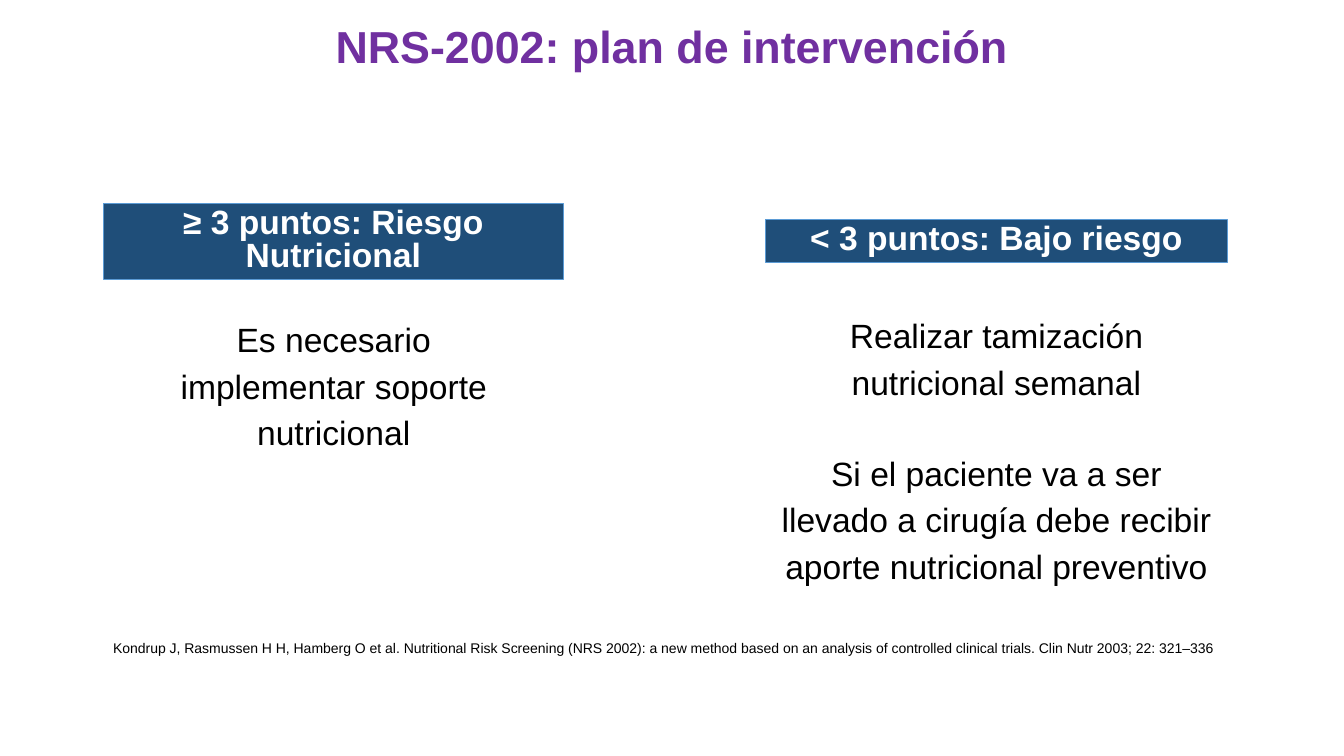
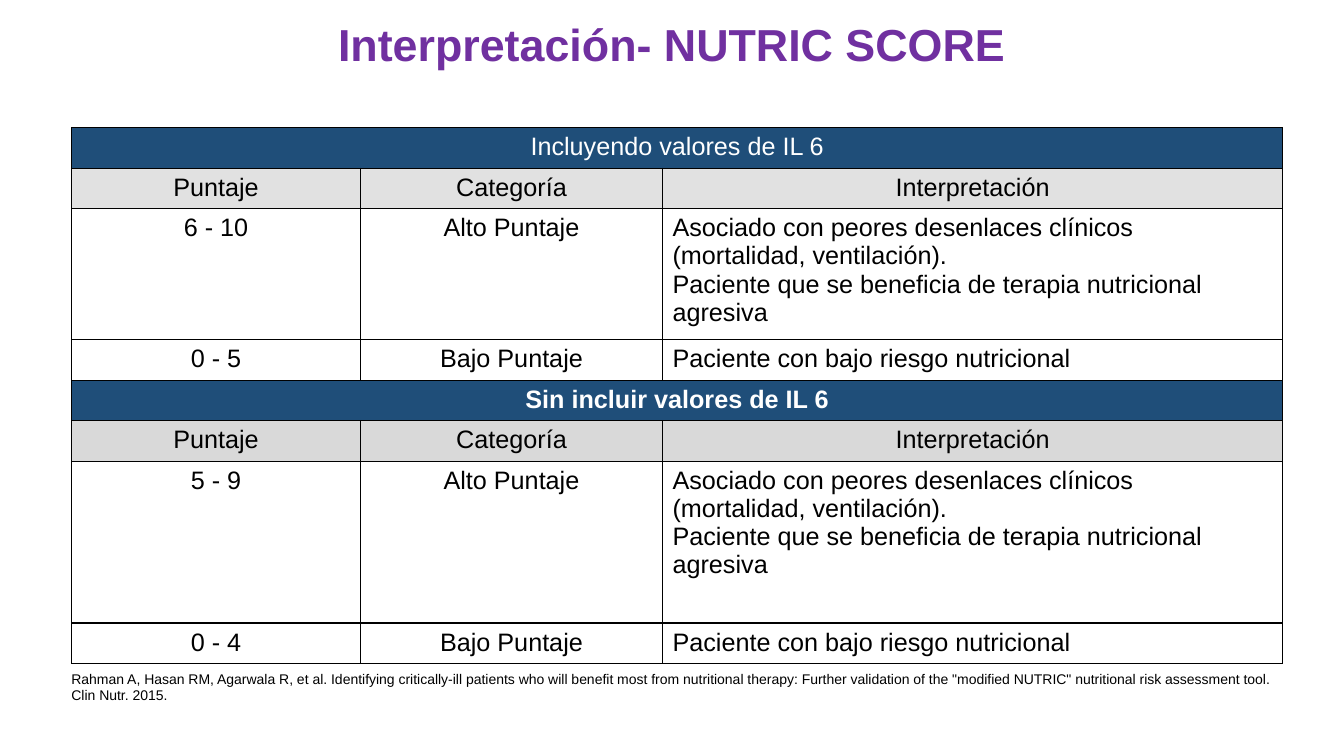
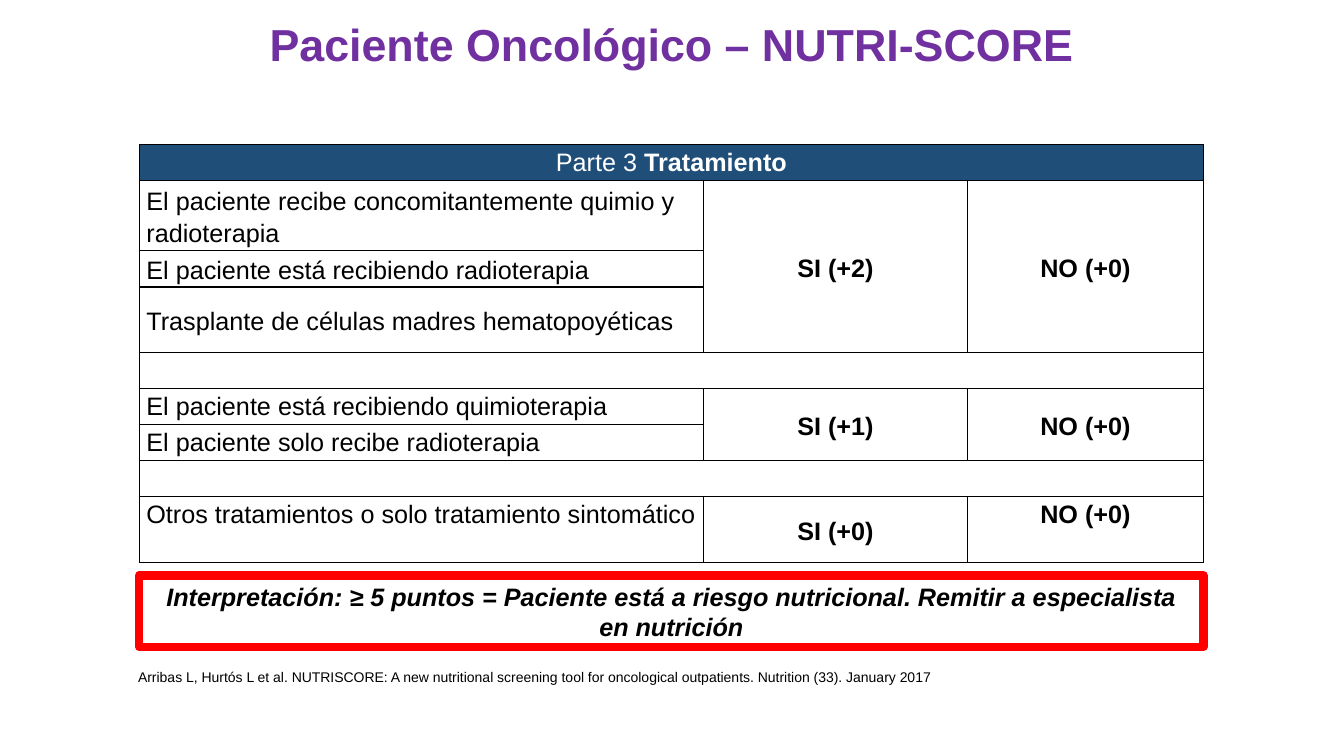
from dataclasses import dataclass
from functools import partial
from typing import Any

from lxml.etree import SubElement
from pptx import Presentation
from pptx.dml.color import RGBColor
from pptx.enum.shapes import MSO_SHAPE
from pptx.enum.text import MSO_ANCHOR as ANCHOR, MSO_AUTO_SIZE as AUTO, PP_ALIGN as ALIGN
from pptx.oxml.ns import qn
from pptx.util import Cm, Pt

FONT = "Arial"
COLORS = {
    "title": "7030A0",
    "band": "1F4E79",
    "band_line": "5B9BD5",
    "white": "FFFFFF",
    "black": "000000",
    "light_gray": "E1E1E1",
    "gray": "D9D9D9",
    "alert": "FF0000",
}


def rgb(name):
    return RGBColor.from_string(COLORS[name])


@dataclass
class Cell:
    """Table cell; text is a list of paragraphs, rows and cols are its span."""
    text: Any = ()
    fill: str = "white"
    color: str = "black"
    bold: bool = False
    align: Any = ALIGN.LEFT
    anchor: Any = ANCHOR.TOP
    rows: int = 1
    cols: int = 1


class Deck:
    def __init__(self):
        self.prs = Presentation()
        self.prs.slide_width, self.prs.slide_height = Cm(33.87), Cm(19.05)
        self.slide = None

    def add_text(self, tf, paras, size=18, color="black", bold=False, italic=False,
                 align=ALIGN.LEFT, spacing=None, before=0, after=0):
        """Each paragraph is a string or a list of (text, bold) runs."""
        tf.word_wrap = True
        for i, para in enumerate(paras):
            p = tf.paragraphs[0] if i == 0 else tf.add_paragraph()
            p.alignment, p.line_spacing = align, spacing
            p.space_before, p.space_after = Pt(before if i else 0), Pt(after)
            for text, is_bold in [(para, bold)] if isinstance(para, str) else para:
                r = p.add_run()
                r.text = text
                r.font.name, r.font.size = FONT, Pt(size)
                r.font.bold, r.font.italic = is_bold, italic
                r.font.color.rgb = rgb(color)

    def new_slide(self, title, top=0, height=2.38):
        self.slide = self.prs.slides.add_slide(self.prs.slide_layouts[5])
        sp = self.slide.shapes.title
        sp.left, sp.top = 0, Cm(top)
        sp.width, sp.height = self.prs.slide_width, Cm(height)
        tf = sp.text_frame
        tf.auto_size, tf.vertical_anchor = AUTO.NONE, ANCHOR.MIDDLE
        self.add_text(tf, [title], 32, "title", True, align=ALIGN.CENTER, spacing=0.9)

    def text_box(self, box, paras, **style):
        sp = self.slide.shapes.add_textbox(*map(Cm, box))
        self.add_text(sp.text_frame, paras, **style)

    def footnote(self, box, reference):
        self.text_box(box, [reference], size=10)

    def panel(self, box, text, fill, line, line_width, **style):
        sp = self.slide.shapes.add_shape(MSO_SHAPE.RECTANGLE, *map(Cm, box))
        sp.shadow.inherit = False
        sp.fill.solid()
        sp.fill.fore_color.rgb = rgb(fill)
        sp.line.color.rgb, sp.line.width = rgb(line), Pt(line_width)
        sp.text_frame.vertical_anchor = ANCHOR.MIDDLE
        self.add_text(sp.text_frame, [text], align=ALIGN.CENTER, **style)

    def band(self, box, text):
        self.panel(box, text, "band", "band_line", 0.5,
                   size=24, color="white", bold=True, spacing=0.8)

    def table(self, left, top, widths, heights, rows, margins=(0.25, 0.13), **style):
        """rows holds Cells, with None where a spanning cell covers the place."""
        table = self.slide.shapes.add_table(
            len(heights), len(widths), Cm(left), Cm(top),
            Cm(sum(widths)), Cm(sum(heights))).table
        table.first_row = table.horz_banding = False
        for column, width in zip(table.columns, widths):
            column.width = Cm(width)
        for row, height in zip(table.rows, heights):
            row.height = Cm(height)
        for i, row in enumerate(rows):
            for j, item in enumerate(row):
                cell, style_of = table.cell(i, j), item or Cell()
                cell.margin_left = cell.margin_right = Cm(margins[0])
                cell.margin_top = cell.margin_bottom = Cm(margins[1])
                cell.vertical_anchor = style_of.anchor
                self.borders(cell)
                cell.fill.solid()
                cell.fill.fore_color.rgb = rgb(style_of.fill)
                self.add_text(cell.text_frame, style_of.text, color=style_of.color,
                              bold=style_of.bold, align=style_of.align, **style)
                if style_of.rows * style_of.cols > 1:
                    cell.merge(table.cell(i + style_of.rows - 1, j + style_of.cols - 1))

    @staticmethod
    def borders(cell):
        tcPr = cell._tc.get_or_add_tcPr()
        for side in ("a:lnL", "a:lnR", "a:lnT", "a:lnB"):
            ln = SubElement(tcPr, qn(side), w=str(Pt(1)))
            fill = SubElement(ln, qn("a:solidFill"))
            SubElement(fill, qn("a:srgbClr"), val=COLORS["black"])


Centered = partial(Cell, align=ALIGN.CENTER)
Header = partial(Centered, fill="band", color="white", cols=3)
Middle = partial(Cell, anchor=ANCHOR.MIDDLE)
Answer = partial(Middle, align=ALIGN.CENTER, bold=True)
Justified = partial(Cell, align=ALIGN.JUSTIFY)


def intervention_slide(deck):
    deck.new_slide("NRS-2002: plan de intervención", 0.15, 2.16)
    deck.band((2.6, 5.13, 11.6, 1.9), "≥ 3 puntos: Riesgo Nutricional")
    deck.band((19.28, 5.54, 11.66, 1.07), "< 3 puntos: Bajo riesgo")
    advice = dict(size=24, align=ALIGN.CENTER, spacing=1.15, before=32)
    deck.text_box((3.56, 7.77, 9.7, 3.6),
                  ["Es necesario implementar soporte nutricional"], **advice)
    deck.text_box((19.28, 7.67, 11.66, 6.95),
                  ["Realizar tamización nutricional semanal",
                   "Si el paciente va a ser llevado a cirugía debe recibir "
                   "aporte nutricional preventivo"], **advice)
    deck.footnote((2.6, 16, 28.7, 0.68),
                  "Kondrup J, Rasmussen H H, Hamberg O et al. Nutritional Risk Screening "
                  "(NRS 2002): a new method based on an analysis of controlled clinical "
                  "trials. Clin Nutr 2003; 22: 321–336")


def nutric_slide(deck):
    deck.new_slide("Interpretación- NUTRIC SCORE")

    def score_rows(title, bold, gray, high, low):
        return [
            [Header([title], bold=bold), None, None],
            [Centered([name], fill=gray)
             for name in ("Puntaje", "Categoría", "Interpretación")],
            [Centered([high]), Centered(["Alto Puntaje"]),
             Cell(["Asociado con peores desenlaces clínicos (mortalidad, ventilación).",
                   "Paciente que se beneficia de terapia nutricional agresiva"])],
            [Centered([low]), Centered(["Bajo Puntaje"]),
             Cell(["Paciente con bajo riesgo nutricional"])],
        ]

    line = 1.02
    deck.table(1.81, 3.22, (7.27, 7.62, 15.62),
               (line, line, 3.3, line, line, line, 4.08, line),
               score_rows("Incluyendo valores de IL 6", False, "light_gray", "6 - 10", "0 - 5")
               + score_rows("Sin incluir valores de IL 6", True, "gray", "5 - 9", "0 - 4"))
    deck.footnote((1.55, 16.76, 30.8, 1.11),
                  "Rahman A, Hasan RM, Agarwala R, et al. Identifying critically-ill patients "
                  "who will benefit most from nutritional therapy: Further validation of the "
                  "\"modified NUTRIC\" nutritional risk assessment tool. Clin Nutr. 2015.")


def nutriscore_slide(deck):
    deck.new_slide("Paciente Oncológico – NUTRI-SCORE")
    deck.footnote((3.23, 16.71, 27.1, 0.68),
                  "Arribas L, Hurtós L et al. NUTRISCORE: A new nutritional screening tool "
                  "for oncological outpatients. Nutrition (33). January 2017")
    spacer = [Cell(cols=3), None, None]
    line = 0.91
    deck.table(3.51, 3.64, (14.22, 6.65, 5.95),
               (line, 1.77, line, 1.65, line, line, line, line, 1.65),
               [[Header([[("Parte 3 ", False), ("Tratamiento", True)]]), None, None],
                [Middle(["El paciente recibe concomitantemente quimio y radioterapia"]),
                 Answer(["SI (+2)"], rows=3), Answer(["NO (+0)"], rows=3)],
                [Middle(["El paciente está recibiendo radioterapia"]), None, None],
                [Middle(["Trasplante de células madres hematopoyéticas"]), None, None],
                spacer,
                [Justified(["El paciente está recibiendo quimioterapia"]),
                 Answer(["SI (+1)"], rows=2), Answer(["NO (+0)"], rows=2)],
                [Justified(["El paciente solo recibe radioterapia"]), None, None],
                spacer,
                [Justified(["Otros tratamientos o solo tratamiento sintomático"]),
                 Answer(["SI (+0)"]), Answer(["NO (+0)"], anchor=ANCHOR.TOP)]],
               margins=(0.18, 0), spacing=1.15, after=10)
    deck.panel((3.51, 14.5, 26.82, 1.8),
               "Interpretación: ≥ 5 puntos = Paciente está a riesgo nutricional. "
               "Remitir a especialista en nutrición",
               "white", "alert", 6, bold=True, italic=True)


def main():
    deck = Deck()
    intervention_slide(deck)
    nutric_slide(deck)
    nutriscore_slide(deck)
    deck.prs.save("out.pptx")


if __name__ == "__main__":
    main()
